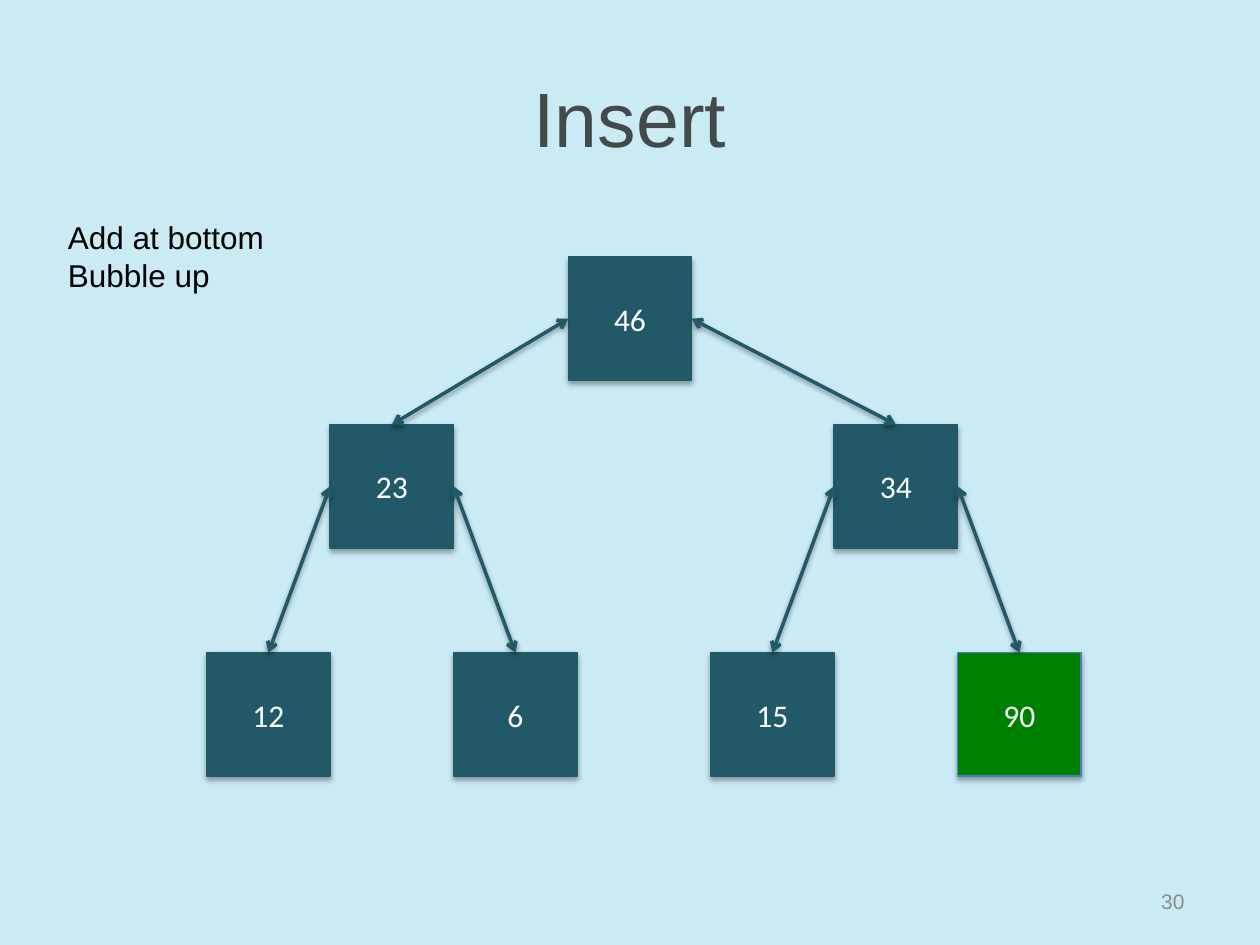
from lxml.etree import SubElement
from pptx import Presentation
from pptx.dml.color import RGBColor
from pptx.enum.shapes import MSO_CONNECTOR as Connector, MSO_SHAPE as Shape
from pptx.enum.text import MSO_ANCHOR as Anchor, PP_ALIGN as Align
from pptx.oxml.ns import qn
from pptx.util import Inches, Pt


def color(hex_text):
    return RGBColor.from_string(hex_text)


def add_shadow(shape, distance, opacity):
    effects = SubElement(shape._element.spPr, qn("a:effectLst"))
    shadow = SubElement(effects, qn("a:outerShdw"), blurRad=str(Pt(3.1)),
                        dist=str(Pt(distance)), dir="5400000", rotWithShape="0")
    black = SubElement(shadow, qn("a:srgbClr"), val="000000")
    SubElement(black, qn("a:alpha"), val=str(opacity * 1000))


presentation = Presentation()
presentation.slide_width, presentation.slide_height = Inches(10), Inches(7.5)
slide = presentation.slides.add_slide(presentation.slide_layouts[5])
slide.background.fill.solid()
slide.background.fill.fore_color.rgb = color("CBEBF4")

# Title
title = slide.shapes.title
title.left, title.top, title.width, title.height = map(Inches, (0.5, 0.3, 9, 1.25))
title.text_frame.vertical_anchor = Anchor.MIDDLE

# Steps and page number
steps = slide.shapes.add_textbox(*map(Inches, (0.44, 1.68, 1.82, 0.71)))
page_number = slide.shapes.add_textbox(*map(Inches, (7.17, 6.95, 2.33, 0.4)))
page_number.text_frame.vertical_anchor = Anchor.MIDDLE
for shape, text, size, hex_text, align in (
    (title, "Insert", 44, "444A49", Align.CENTER),
    (steps, "Add at bottom\nBubble up", 18, "000000", Align.LEFT),
    (page_number, "30", 12, "8C8C8C", Align.RIGHT),
):
    shape.text_frame.text = text
    for paragraph in shape.text_frame.paragraphs:
        paragraph.alignment = align
        paragraph.font.name, paragraph.font.size = "Arial", Pt(size)
        paragraph.font.color.rgb = color(hex_text)

# Heap nodes in level order; each leaf sits one box width beside its parent
BOX = 0.98
ROWS = (2.04, 3.37, 5.18)
ROOT, PARENTS = 4.51, (2.62, 6.62)
leaves = [left + side * BOX for left in PARENTS for side in (-1, 1)]
positions = [(left, top) for top, lefts in zip(ROWS, ([ROOT], PARENTS, leaves))
             for left in lefts]
nodes = []
for value, (left, top) in zip((46, 23, 34, 12, 6, 15, 90), positions):
    fill, line = ("008000", "4B7EBC") if value == 90 else ("215968", "215968")
    node = slide.shapes.add_shape(Shape.RECTANGLE, *map(Inches, (left, top, BOX, BOX)))
    node.fill.solid()
    node.fill.fore_color.rgb = color(fill)
    node.line.color.rgb = color(line)
    node.line.width = Pt(0.75)
    add_shadow(node, 1.8, 35)
    node.text_frame.text = str(value)
    node.text_frame.vertical_anchor = Anchor.MIDDLE
    paragraph = node.text_frame.paragraphs[0]
    paragraph.alignment = Align.CENTER
    paragraph.font.name, paragraph.font.size = "Calibri", Pt(18)
    paragraph.font.color.rgb = color("FFFFFF")
    nodes.append(node)

# Links: left children hang from the parent's left side, right ones from the right
for child in range(1, len(nodes)):
    link = slide.shapes.add_connector(Connector.STRAIGHT, 0, 0, 0, 0)
    link.begin_connect(nodes[(child - 1) // 2], 1 if child % 2 else 3)
    link.end_connect(nodes[child], 0)
    link.line.color.rgb = color("215968")
    link.line.width = Pt(2)
    for end in ("a:headEnd", "a:tailEnd"):
        SubElement(link.line._get_or_add_ln(), qn(end), type="arrow")
    add_shadow(link, 1.6, 38)

presentation.save("out.pptx")
